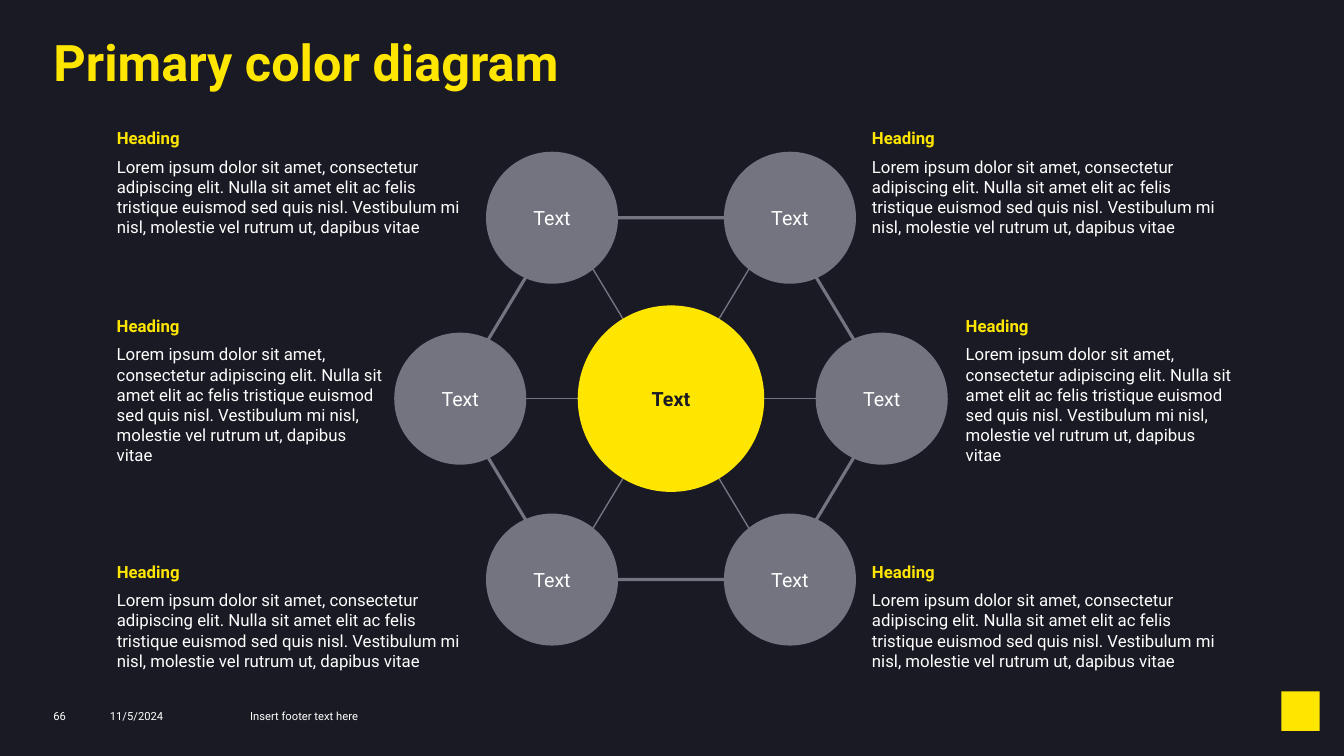
from lxml import etree
from pptx import Presentation
from pptx.dml.color import RGBColor
from pptx.enum import shapes, text
from pptx.oxml import ns
from pptx.util import Inches, Pt

COLORS = {"dark": "1A1A24", "yellow": "FFE600", "gray": "747480", "white": "FFFFFF"}
FONT = "Roboto"
BODY = ("Lorem ipsum dolor sit amet, consectetur adipiscing elit. Nulla sit amet elit ac felis "
        "tristique euismod sed quis nisl. Vestibulum mi nisl, molestie vel rutrum ut, dapibus vitae")


def color(name):
    return RGBColor.from_string(COLORS[name])


def add_run(p, words, size, name, bold=False):
    r = p.add_run()
    r.text = words
    r.font.name = FONT
    r.font.size = Pt(size)
    r.font.bold = bold
    r.font.color.rgb = color(name)


def set_frame(tf, left=0, top=0, right=0, bottom=0, wrap=True):
    tf.margin_left, tf.margin_top = Inches(left), Inches(top)
    tf.margin_right, tf.margin_bottom = Inches(right), Inches(bottom)
    tf.word_wrap = wrap


def add_title(s, x, y, w, h, words):
    sp = s.shapes.title
    sp.left, sp.top, sp.width, sp.height = map(Inches, (x, y, w, h))
    tf = sp.text_frame
    set_frame(tf)
    tf.auto_size = text.MSO_AUTO_SIZE.NONE
    tf.vertical_anchor = text.MSO_ANCHOR.TOP
    p = tf.paragraphs[0]
    p.alignment = text.PP_ALIGN.LEFT
    p.line_spacing = 0.85
    add_run(p, words, 36, "yellow", True)


def add_footer(s, x, y, h):
    for dx, w, words in ((0, 0.56, "66"), (0.56, 1.4, "11/5/2024"),
                         (1.95, 4.18, "Insert footer text here")):
        sp = s.shapes.add_textbox(Inches(x + dx), Inches(y), Inches(w), Inches(h))
        set_frame(sp.text_frame)
        add_run(sp.text_frame.paragraphs[0], words, 8, "white")


def add_logo_block(s, x, y, w, h):
    sp = s.shapes.add_shape(shapes.MSO_SHAPE.RECTANGLE, Inches(x), Inches(y), Inches(w), Inches(h))
    sp.shadow.inherit = False
    sp.fill.solid()
    sp.fill.fore_color.rgb = color("yellow")
    sp.line.fill.background()


def add_spoke(s, x1, y1, x2, y2):
    line = s.shapes.add_connector(shapes.MSO_CONNECTOR.STRAIGHT,
                                  Inches(x1), Inches(y1), Inches(x2), Inches(y2))
    line.line.color.rgb = color("gray")
    line.line.width = Pt(1)
    etree.SubElement(line._element.spPr, ns.qn("a:effectLst"))


def add_circle(s, cx, cy, size, fill, font_color, inset=0.04, bold=False):
    sp = s.shapes.add_shape(shapes.MSO_SHAPE.OVAL, Inches(cx - size / 2), Inches(cy - size / 2),
                            Inches(size), Inches(size))
    sp.shadow.inherit = False
    sp.fill.solid()
    sp.fill.fore_color.rgb = color(fill)
    sp.line.fill.background()
    tf = sp.text_frame
    set_frame(tf, inset, inset, inset, inset, wrap=bold)
    tf.vertical_anchor = text.MSO_ANCHOR.MIDDLE
    p = tf.paragraphs[0]
    p.alignment = text.PP_ALIGN.CENTER
    add_run(p, "Text", 14, font_color, bold)


def add_diagram(s, x, y, w, h):
    cx, cy = x + w / 2, y + h / 2
    hexagon = s.shapes.add_shape(shapes.MSO_SHAPE.HEXAGON,
                                 Inches(x), Inches(y), Inches(w), Inches(h))
    hexagon.shadow.inherit = False
    hexagon.adjustments[0] = 0.301
    hexagon.fill.background()
    hexagon.line.color.rgb = color("gray")
    hexagon.line.width = Pt(2.25)

    for dx, dy in ((1.08, -h / 2), (-1.08, -h / 2), (-w / 2, 0)):
        add_spoke(s, cx + dx, cy + dy, cx - dx, cy - dy)

    for dx, dy in ((1.18, -h / 2), (2.09, 0), (1.18, h / 2)):
        for side in (-1, 1):
            add_circle(s, cx + side * dx, cy + dy, 1.31, "gray", "white")
    add_circle(s, cx, cy, 1.85, "yellow", "dark", inset=0, bold=True)


def add_note(s, x, y, w, h):
    sp = s.shapes.add_textbox(Inches(x), Inches(y), Inches(w), Inches(h))
    tf = sp.text_frame
    set_frame(tf, 0.1, 0, 0.1, 0.05)
    tf.auto_size = text.MSO_AUTO_SIZE.SHAPE_TO_FIT_TEXT
    heading, body = tf.paragraphs[0], tf.add_paragraph()
    heading.space_after = body.space_after = Pt(6)
    add_run(heading, "Heading", 12, "yellow", True)
    add_run(body, BODY, 12, "white")


def add_notes(s):
    for y, h, left_w, right_x, right_w in ((1.27, 1.14, 3.61, 8.55, 3.71),
                                           (3.13, 1.55, 2.86, 9.48, 2.86),
                                           (5.57, 1.14, 3.65, 8.55, 3.66)):
        add_note(s, 1.06, y, left_w, h)
        add_note(s, right_x, y, right_w, h)


def main():
    prs = Presentation()
    prs.slide_width, prs.slide_height = Inches(13.33), Inches(7.5)
    s = prs.slides.add_slide(prs.slide_layouts[5])
    s.background.fill.solid()
    s.background.fill.fore_color.rgb = color("dark")
    add_logo_block(s, 12.71, 6.86, 0.38, 0.39)
    add_title(s, 0.53, 0.4, 12.28, 0.51, "Primary color diagram")
    add_footer(s, 0.53, 7.04, 0.13)
    add_diagram(s, 4.49, 2.16, 4.33, 3.59)
    add_notes(s)
    prs.save("out.pptx")


if __name__ == "__main__":
    main()
